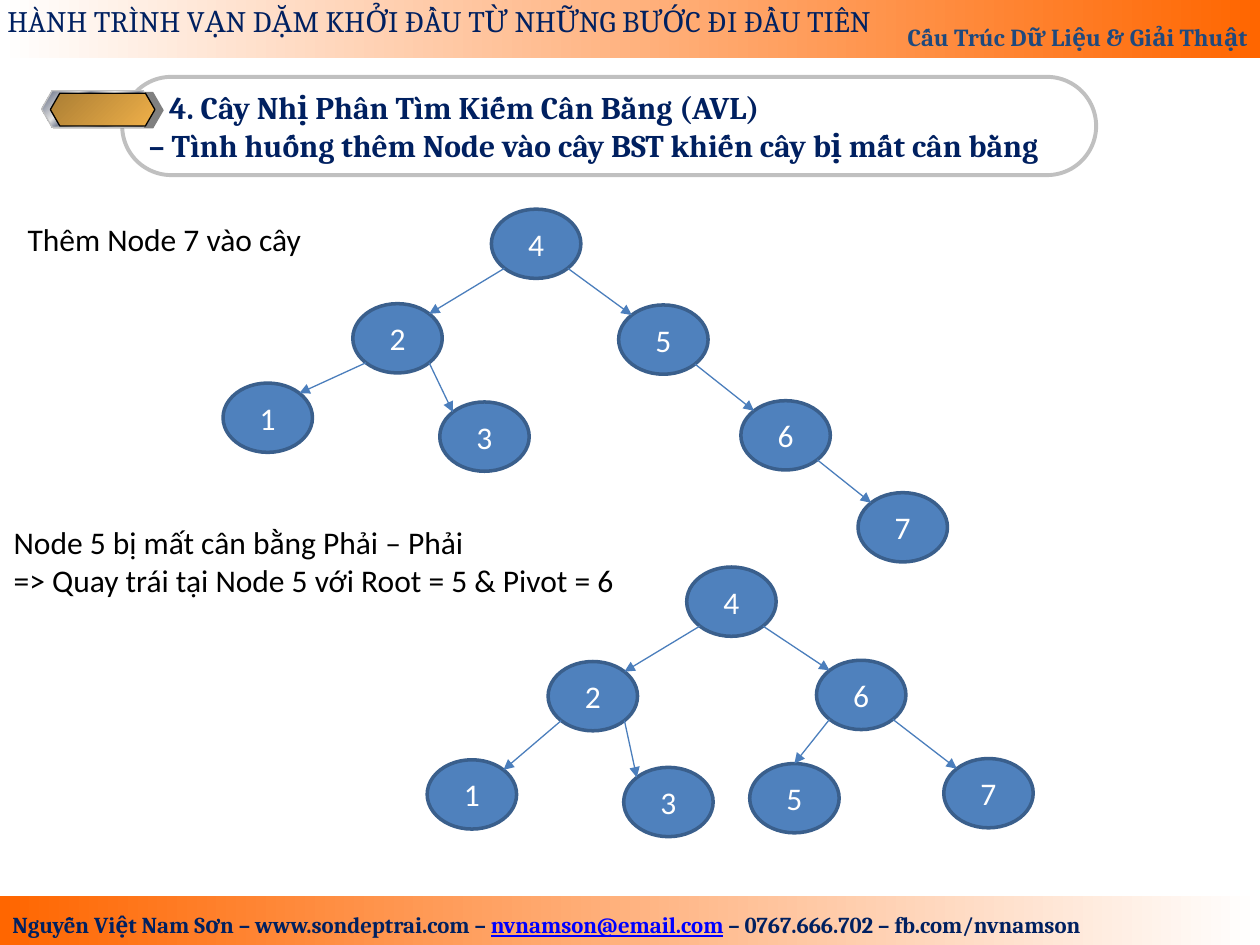
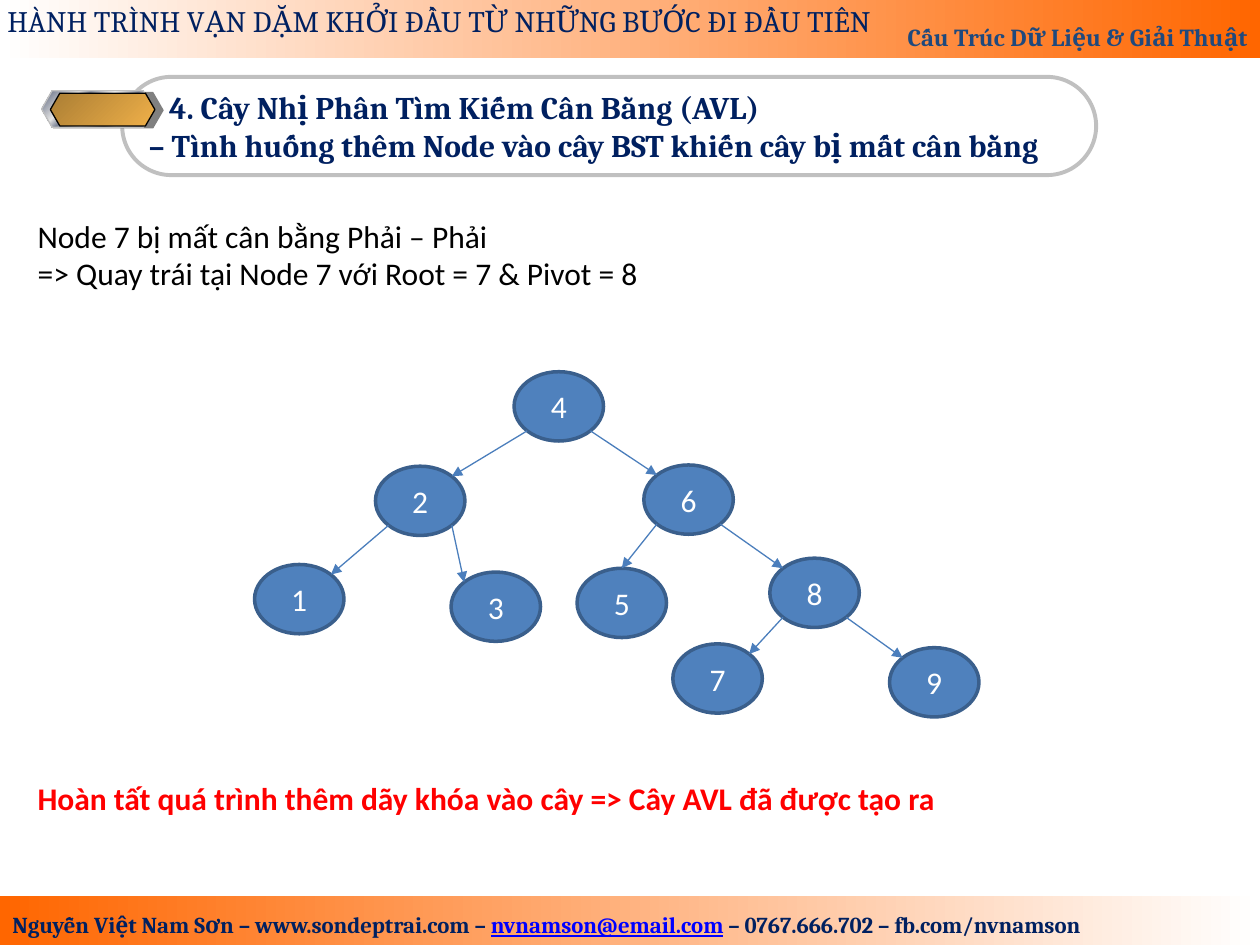
from lxml import etree
from pptx import Presentation
from pptx import util as u
from pptx.dml.color import RGBColor
from pptx.enum import shapes, text
from pptx.oxml.ns import qn

# Grid of square cells: 100 columns by 75 rows
COLUMNS, ROWS = 100, 75
CELL = u.Inches(0.1)

NAVY, ORANGE, WHITE, SILVER = "002060", "FF6600", "FFFFFF", "C0C0C0"
NODE_FILL, NODE_EDGE, ARROW = "4F81BD", "3A5F8C", "4B7EBC"
METAL = [(0, "E6E6E6"), (7, "7D8496"), (26, "E6E6E6"), (34, "7D8496"),
         (46, "E6E6E6"), (50, "FFFFFF"), (54, "E6E6E6"), (66, "7D8496"),
         (74, "E6E6E6"), (93, "7D8496"), (100, "E6E6E6")]
GOLD = [(0, "AB7E34"), (100, "EFB049")]

HEADER = "HÀNH TRÌNH VẠN DẶM KHỞI ĐẦU TỪ NHỮNG BƯỚC ĐI ĐẦU TIÊN"
COURSE = "Cấu Trúc Dữ Liệu & Giải Thuật"
CONTACT = [("Nguyễn Việt Nam Sơn – www.sondeptrai.com – ", {}),
           ("nvnamson@email.com", {"color": "0000FF", "underline": True}),
           (" – 0767.666.702 – fb.com/nvnamson", {})]
TITLE = ["4. Cây Nhị Phân Tìm Kiếm Cân Bằng (AVL)",
         "– Tình huống thêm Node vào cây BST khiến cây bị mất cân bằng"]

# Trees: key -> (parent, columns and rows from the root)
NODE_W, NODE_H = 7.1, 5.5
UNBALANCED = {4: (None, 0, 0), 2: (4, -11, 7.5), 5: (4, 10.1, 7.6),
              1: (2, -21.3, 13.8), 3: (2, -4.1, 15.3),
              6: (5, 19.8, 15.2), 7: (6, 29.1, 22.5)}
BALANCED = {4: (None, 0, 0), 2: (4, -11, 7.5), 6: (4, 10.3, 7.4),
            1: (2, -20.6, 15.3), 3: (2, -5, 15.9), 5: (6, 5, 15.6)}
ROTATED = BALANCED | {7: (6, 20.4, 15.2)}
COMPLETE = BALANCED | {8: (6, 20.3, 14.8), 7: (8, 12.6, 21.6), 9: (8, 29.8, 21.9)}


def cells(*counts):
    return [round(count * CELL) for count in counts]


def rgb(hex_color):
    return RGBColor.from_string(hex_color)


def write(frame, paragraphs, size=18, font="Calibri", color="000000", bold=False,
          align=text.PP_ALIGN.LEFT, anchor=text.MSO_ANCHOR.TOP, wrap=True,
          spacing=None, first_indent=0):
    """Each paragraph is a string or a list of (string, format changes)."""
    frame.word_wrap = wrap
    frame.vertical_anchor = anchor
    for number, content in enumerate(paragraphs):
        paragraph = frame.add_paragraph() if number else frame.paragraphs[0]
        paragraph.alignment = align
        if spacing:
            paragraph.line_spacing = spacing
        if first_indent and not number:
            paragraph._p.get_or_add_pPr().set("indent", str(cells(first_indent)[0]))
        runs = [(content, {})] if isinstance(content, str) else content
        for words, changes in runs:
            run = paragraph.add_run()
            run.text = words
            run.font.name, run.font.size, run.font.bold = font, u.Pt(size), bold
            run.font.color.rgb = rgb(changes.get("color", color))
            if changes.get("underline"):
                run.font.underline = True


def add_label(slide, box, paragraphs, **style):
    label = slide.shapes.add_textbox(*cells(*box))
    write(label.text_frame, paragraphs, **style)


def paint_gradient(shape, stops, angle):
    shape.fill.gradient()
    shape.fill.gradient_angle = angle
    stop_list = shape._element.spPr.find(qn("a:gradFill")).find(qn("a:gsLst"))
    for old_stop in list(stop_list):
        stop_list.remove(old_stop)
    for percent, color in stops:
        stop = etree.SubElement(stop_list, qn("a:gs"), pos=str(percent * 1000))
        etree.SubElement(stop, qn("a:srgbClr"), val=color)


def add_figure(slide, kind, box, fill=None, line=None, width=0.75, angle=0):
    """Fill is a hex colour, a list of gradient stops, or None."""
    figure = slide.shapes.add_shape(kind, *cells(*box))
    figure.shadow.inherit = False
    if fill is None:
        figure.fill.background()
    elif isinstance(fill, str):
        figure.fill.solid()
        figure.fill.fore_color.rgb = rgb(fill)
    else:
        paint_gradient(figure, fill, angle)
    if line:
        figure.line.color.rgb = rgb(line)
        figure.line.width = u.Pt(width)
    else:
        figure.line.fill.background()
    return figure


def add_arrow(slide, start, end):
    arrow = slide.shapes.add_connector(shapes.MSO_CONNECTOR.STRAIGHT,
                                       *cells(*start, *end))
    arrow.line.color.rgb = rgb(ARROW)
    arrow.line.width = u.Pt(0.75)
    etree.SubElement(arrow.line._get_or_add_ln(), qn("a:tailEnd"), type="triangle")
    etree.SubElement(arrow._element.spPr, qn("a:effectLst"))


def rim(center, side_x, side_y):
    """Point on a node's outline; sides are -1, 0 or 1."""
    reach = 0.707 if side_x and side_y else 1
    return (center[0] + side_x * reach * NODE_W / 2,
            center[1] + side_y * reach * NODE_H / 2)


def add_tree(slide, root_left, root_top, nodes):
    centers = {key: (root_left + dx + NODE_W / 2, root_top + dy + NODE_H / 2)
               for key, (_, dx, dy) in nodes.items()}
    for key, (x, y) in centers.items():
        node = add_figure(slide, shapes.MSO_SHAPE.OVAL,
                          (x - NODE_W / 2, y - NODE_H / 2, NODE_W, NODE_H),
                          NODE_FILL, NODE_EDGE, 2)
        write(node.text_frame, [str(key)], color=WHITE,
              align=text.PP_ALIGN.CENTER, anchor=text.MSO_ANCHOR.MIDDLE)
    for key, (parent, _, _) in nodes.items():
        if parent is None:
            continue
        offset = centers[key][0] - centers[parent][0]
        side = 1 if offset > 0 else -1
        # A child close beneath its parent is entered from straight above
        entry = 0 if abs(offset) < 5.5 else -side
        add_arrow(slide, rim(centers[parent], side, 1), rim(centers[key], entry, -1))


def add_bands(slide):
    rectangle = shapes.MSO_SHAPE.RECTANGLE
    add_figure(slide, rectangle, (0, ROWS - 3.9, COLUMNS, 3.9),
               [(0, ORANGE), (100, WHITE)])
    top_band = add_figure(slide, rectangle, (0, 0, COLUMNS, 4.6),
                          [(0, WHITE), (100, ORANGE)])
    write(top_band.text_frame, [COURSE], size=14, font="Cambria", color="1F497D",
          bold=True, align=text.PP_ALIGN.RIGHT, anchor=text.MSO_ANCHOR.BOTTOM,
          spacing=1.8)
    add_label(slide, (0, 71.8, 90.4, 3.2), [CONTACT], size=13, font="Cambria",
              color=NAVY, bold=True, wrap=False)
    add_label(slide, (-0.4, -0.3, 74.2, 3.9), [HEADER], size=17, font="Cambria",
              color=NAVY)


def add_title(slide):
    capsule = add_figure(slide, shapes.MSO_SHAPE.ROUNDED_RECTANGLE,
                         (9.7, 6.1, 77.3, 7.8), line=SILVER, width=2.25)
    capsule.adjustments[0] = 0.5
    capsule.text_frame.margin_right = 0
    write(capsule.text_frame, TITLE, font="Cambria", color=NAVY, bold=True,
          anchor=text.MSO_ANCHOR.MIDDLE, first_indent=1.6)
    # Badge: shadow, metal rim, gold face
    for box, fill, line in [((3.4, 7.3, 9.6, 2.9), "808080", None),
                            ((3.3, 7.2, 8.9, 2.9), METAL, SILVER),
                            ((4, 7.4, 8.3, 2.6), GOLD, "000000")]:
        badge = add_figure(slide, shapes.MSO_SHAPE.HEXAGON, box, fill, line, angle=315)
        badge.adjustments[0] = 0.289


def add_lesson_slide(deck):
    slide = deck.slides.add_slide(deck.slide_layouts[6])
    add_bands(slide)
    add_title(slide)
    return slide


def rotation_note(root, pivot):
    return [f"Node {root} bị mất cân bằng Phải – Phải",
            f"=> Quay trái tại Node {root} với Root = {root} & Pivot = {pivot}"]


def main():
    deck = Presentation()
    deck.slide_width, deck.slide_height = cells(COLUMNS, ROWS)

    # Adding 7 and rotating at 5
    insertion = add_lesson_slide(deck)
    add_label(insertion, (1.2, 17, 24.1, 4), ["Thêm Node 7 vào cây"], wrap=False)
    add_tree(insertion, 39, 16.6, UNBALANCED)
    add_label(insertion, (0.1, 41, 50.5, 7.1), rotation_note(5, 6), wrap=False)
    add_tree(insertion, 54.5, 45, ROTATED)

    # Rotating at 7 and the finished tree
    completion = add_lesson_slide(deck)
    add_tree(completion, 40.8, 29.5, COMPLETE)
    add_label(completion, (2, 16.7, 50.5, 7.1), rotation_note(7, 8), wrap=False)
    add_label(completion, (2, 61.3, 74.4, 4),
              ["Hoàn tất quá trình thêm dãy khóa vào cây => Cây AVL đã được tạo ra"],
              color="FF0000", bold=True, wrap=False)

    deck.save("out.pptx")


if __name__ == "__main__":
    main()
